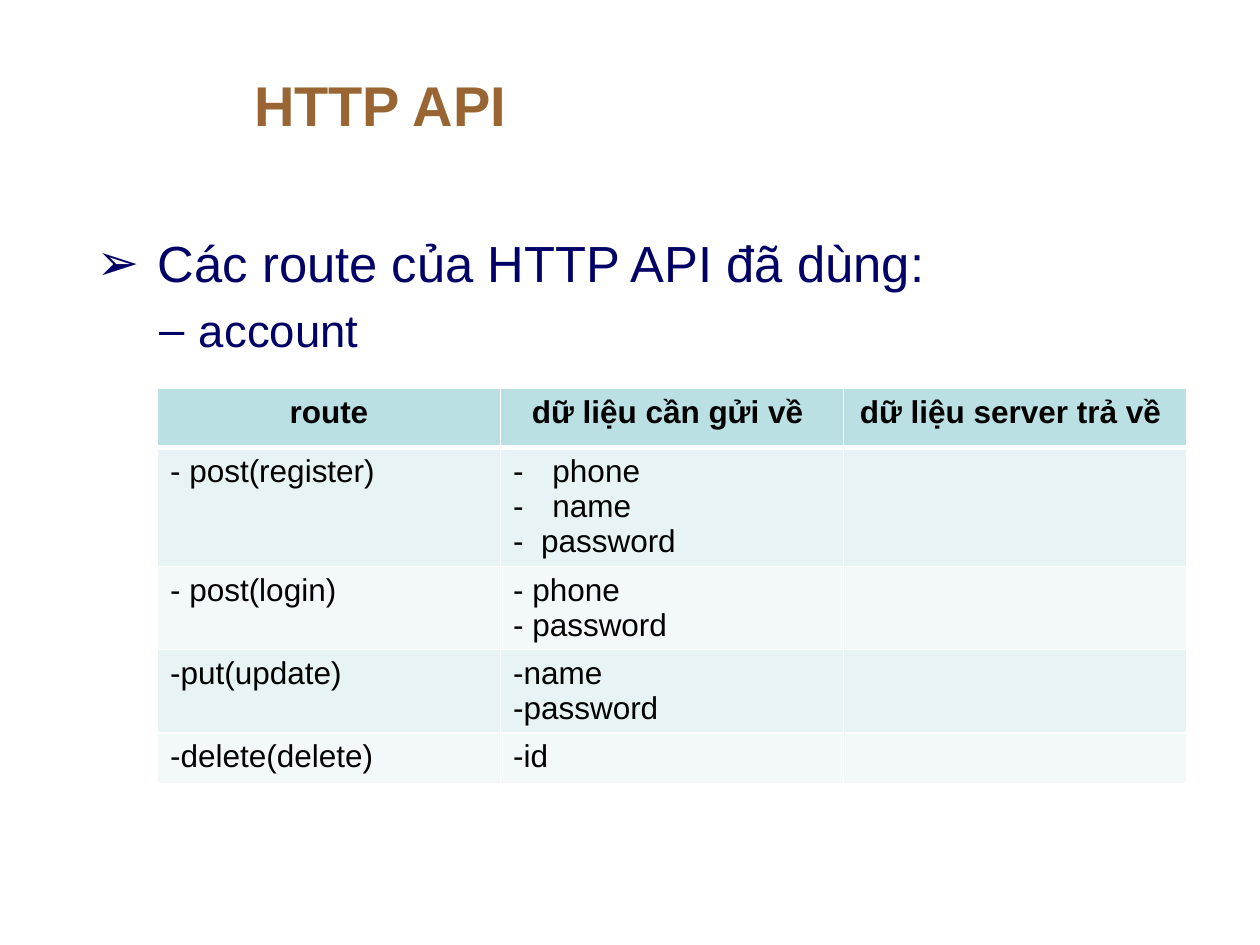
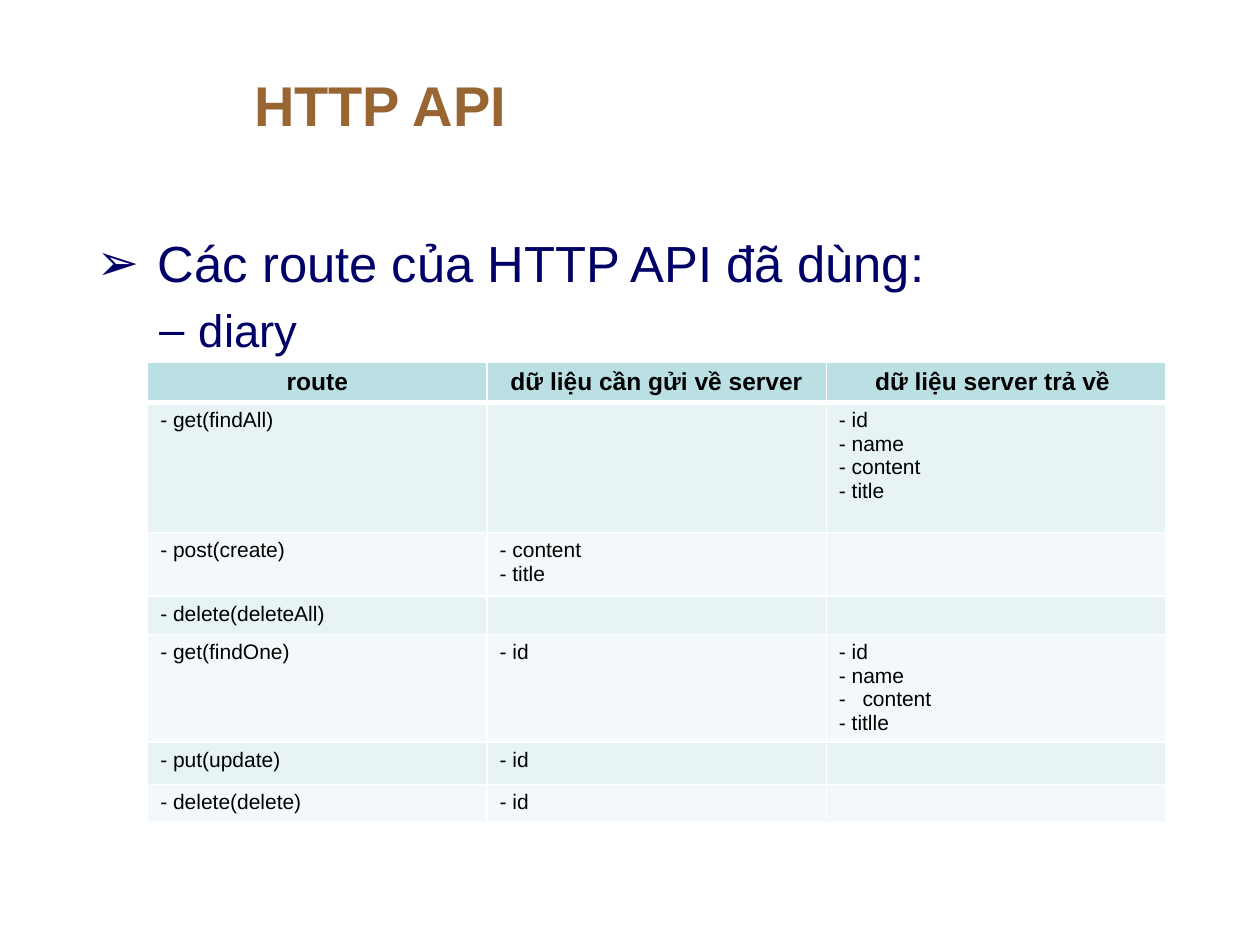
"""Build two slides that list the HTTP API routes for account and diary."""
import pptx
import pptx.dml.color
import pptx.enum.text
import pptx.oxml
import pptx.oxml.ns
import pptx.util
from lxml import etree

Pt = pptx.util.Pt
RGBColor = pptx.dml.color.RGBColor
ALIGN = pptx.enum.text.PP_ALIGN
qn = pptx.oxml.ns.qn

FONT = "Arial"
BROWN = RGBColor(0x99, 0x66, 0x33)
NAVY = RGBColor(0x00, 0x00, 0x66)
BLACK = RGBColor(0x00, 0x00, 0x00)
WHITE = RGBColor(0xFF, 0xFF, 0xFF)
HEADER_FILL = RGBColor(0xBB, 0xE0, 0xE3)
BAND_FILLS = [RGBColor(0xF3, 0xF9, 0xFA), RGBColor(0xE7, 0xF3, 0xF4)]

ROUTE_TABLES = [
    {
        "resource": "account",
        "left": 90, "top": 222, "column_width": 196,
        "header_size": 18, "body_size": 18,
        "row_heights": [33.7, 68, 47.4, 47.4, 26.9],
        "rows": [
            [["route"], ["dữ liệu cần gửi về "], ["dữ liệu server trả về "]],
            [["- post(register)"], [("phone", 22.5), ("name", 22.5), "-  password"], []],
            [["- post(login)"], ["- phone", "- password"], []],
            [["-put(update)"], ["-name", "-password"], []],
            [["-delete(delete)"], ["-id"], []],
        ],
    },
    {
        "resource": "diary",
        "left": 84.4, "top": 207, "column_width": 193.9,
        "header_size": 14, "body_size": 12,
        "row_heights": [22.6, 74.2, 36.5, 20.4, 61.4, 24.4, 20.4],
        "rows": [
            [["route"], ["dữ liệu cần gửi về server"], ["dữ liệu server trả về "]],
            [["- get(findAll)"], [], ["- id", (" name ", 0), "- content", "- title"]],
            [["- post(create)"], ["- content", "- title"], []],
            [["- delete(deleteAll)"], [], []],
            [["- get(findOne)"], ["- id"], ["- id", "- name", ("content", 13.5), "- titlle"]],
            [["- put(update)"], ["- id"], []],
            [["- delete(delete)"], ["- id"], []],
        ],
    },
]


def format_paragraph(paragraph, size, color, bold=False):
    for run in paragraph.runs:
        run.font.name = FONT
        run.font.size = Pt(size)
        run.font.bold = bold
        run.font.color.rgb = color
    if not paragraph.runs:
        etree.SubElement(paragraph._p, qn("a:endParaRPr"), sz=str(size * 100))


def set_bullet(paragraph, character, margin, hanging):
    properties = paragraph._p.get_or_add_pPr()
    properties.set("marL", str(Pt(margin)))
    properties.set("indent", str(-Pt(hanging)))
    etree.SubElement(properties, qn("a:buFont"), typeface=FONT)
    etree.SubElement(properties, qn("a:buChar"), char=character)


presentation = pptx.Presentation()
presentation.slide_width = Pt(720)
presentation.slide_height = Pt(540)

for routes in ROUTE_TABLES:
    slide = presentation.slides.add_slide(presentation.slide_layouts[1])

    title = slide.shapes.title
    title.left, title.top, title.width, title.height = Pt(138), Pt(22.5), Pt(558), Pt(74)
    title.text_frame.text = "HTTP API"
    title.text_frame.auto_size = pptx.enum.text.MSO_AUTO_SIZE.NONE
    title.text_frame.vertical_anchor = pptx.enum.text.MSO_ANCHOR.MIDDLE
    title.text_frame.paragraphs[0].alignment = ALIGN.LEFT
    format_paragraph(title.text_frame.paragraphs[0], 32, BROWN, bold=True)

    body = slide.placeholders[1]
    body.left, body.top, body.width, body.height = Pt(48), Pt(129), Pt(648), Pt(369)
    body.text_frame.auto_size = pptx.enum.text.MSO_AUTO_SIZE.NONE
    body.text_frame.text = " Các route của HTTP API đã dùng:\n" + routes["resource"]
    outline = [(29, "➢", 27, 27), (26, "–", 58.5, 22.5)]
    for level, (size, character, margin, hanging) in enumerate(outline):
        paragraph = body.text_frame.paragraphs[level]
        paragraph.level = level
        paragraph.space_before = Pt(size * 0.2)
        set_bullet(paragraph, character, margin, hanging)
        format_paragraph(paragraph, size, NAVY)

    rows = routes["rows"]
    column_count = len(rows[0])
    table = slide.shapes.add_table(
        len(rows), column_count, Pt(routes["left"]), Pt(routes["top"]),
        Pt(routes["column_width"] * column_count), Pt(sum(routes["row_heights"])),
    ).table
    for column in table.columns:
        column.width = Pt(routes["column_width"])

    for row_index, row in enumerate(rows):
        table.rows[row_index].height = Pt(routes["row_heights"][row_index])
        is_header = row_index == 0
        for column_index, lines in enumerate(row):
            cell = table.cell(row_index, column_index)
            cell_properties = cell._tc.get_or_add_tcPr()
            widths = {"L": 1, "R": 1, "T": 3 if row_index == 1 else 1, "B": 3 if is_header else 1}
            for side, width in widths.items():
                border = etree.SubElement(cell_properties, qn("a:ln" + side), w=str(Pt(width)))
                border_fill = etree.SubElement(border, qn("a:solidFill"))
                etree.SubElement(border_fill, qn("a:srgbClr"), val=str(WHITE))
            cell.fill.solid()
            cell.fill.fore_color.rgb = HEADER_FILL if is_header else BAND_FILLS[row_index % 2]

            text_size = routes["header_size"] if is_header else routes["body_size"]
            for line_index, line in enumerate(lines or [""]):
                if line_index:
                    paragraph = cell.text_frame.add_paragraph()
                else:
                    paragraph = cell.text_frame.paragraphs[0]
                if isinstance(line, tuple):
                    line, indent = line
                    set_bullet(paragraph, "-", indent, indent)
                if line:
                    paragraph.text = line
                if is_header:
                    paragraph.alignment = ALIGN.CENTER
                format_paragraph(paragraph, text_size, BLACK, bold=is_header)

presentation.save("out.pptx")
